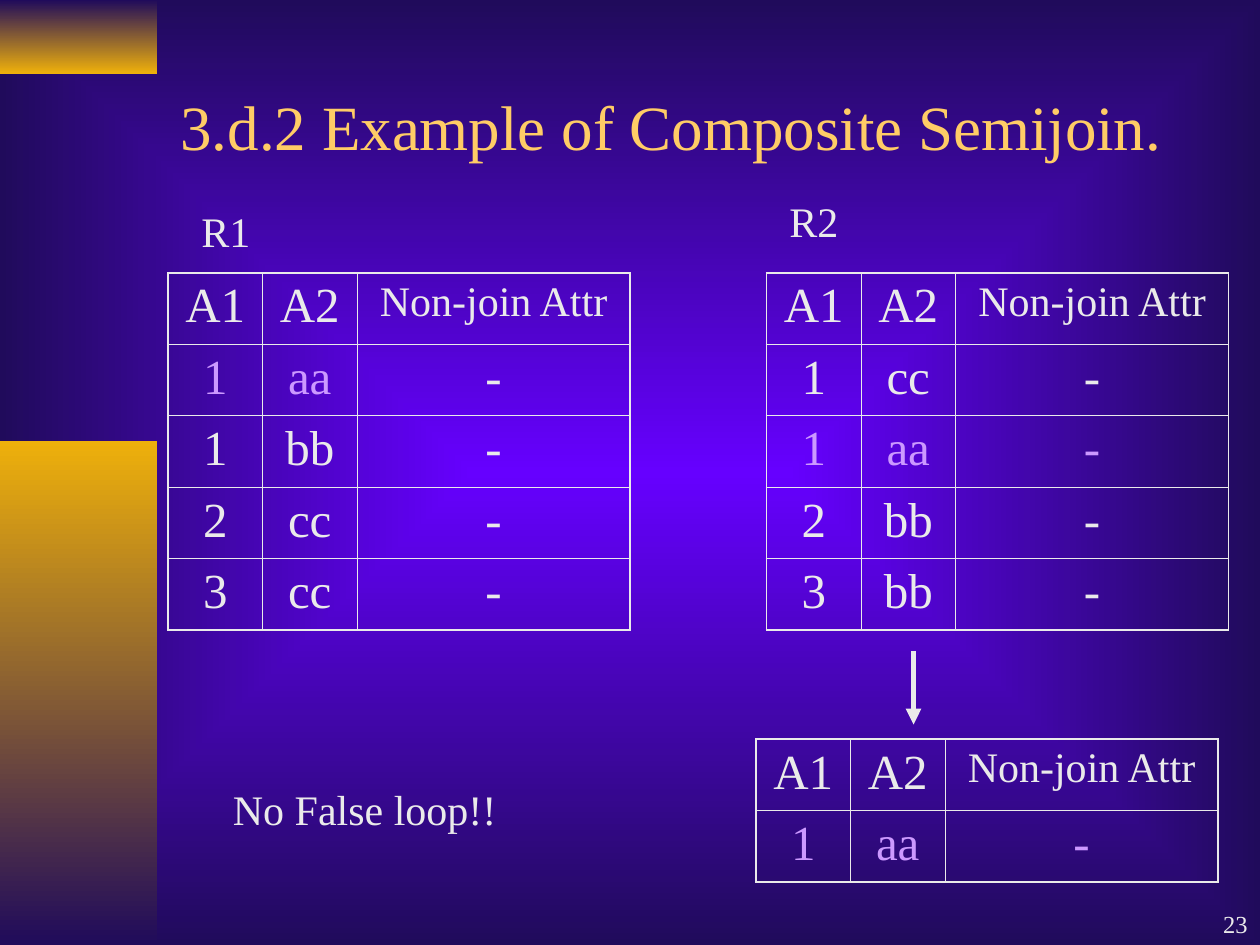
"""Build the composite semijoin slide: two relations, their reduction and a remark."""
from pptx import Presentation
from pptx.dml.color import RGBColor as RGB
from pptx.enum.shapes import MSO_CONNECTOR as Line, MSO_SHAPE as Shape
from pptx.enum.text import MSO_ANCHOR as Anchor, PP_ALIGN as Align
from pptx.oxml import parse_xml
from pptx.oxml.ns import nsdecls
from pptx.util import Inches, Pt

NAVY, BLUE = RGB(0x20, 0x0B, 0x5B), RGB(0x66, 0x00, 0xFF)
GOLD, SAND = RGB(0xEE, 0xB0, 0x0B), RGB(0xFF, 0xCC, 0x66)
PALE, LILAC = RGB(0xEA, 0xEA, 0xEA), RGB(0xCC, 0x99, 0xFF)
FONT = "Times New Roman"
THIN, THICK = Pt(0.45), Pt(1.08)

UNIT = Inches(1) / 12
COLS, ROW = (9, 9, 26), 6.8
HEAD = ("A1", "A2", "Non-join Attr")

BARS = [
    ((0, 0, 15, 7), (NAVY, GOLD)),
    ((0, 42, 15, 48), (GOLD, NAVY)),
]
TABLES = [
    {"at": (16, 26), "lit": {(1, 0), (1, 1)},
     "rows": [HEAD, ("1", "aa", "-"), ("1", "bb", "-"), ("2", "cc", "-"), ("3", "cc", "-")]},
    {"at": (73, 26), "lit": {(2, 0), (2, 1), (2, 2)},
     "rows": [HEAD, ("1", "cc", "-"), ("1", "aa", "-"), ("2", "bb", "-"), ("3", "bb", "-")]},
    {"at": (72, 70.4), "lit": {(1, 0), (1, 1), (1, 2)},
     "rows": [HEAD, ("1", "aa", "-")]},
]
TEXTS = [
    ("3.d.2 Example of Composite Semijoin.", (16, 4, 102, 15.9),
     {"size": 36, "color": SAND}, {"vertical_anchor": Anchor.MIDDLE}, {}),
    ("R1", (18, 19, 7.1, 6), {"size": 24}, {"word_wrap": False}, {}),
    ("R2", (74, 18, 7.1, 6), {"size": 24}, {"word_wrap": False}, {}),
    ("No False loop!!", (21, 74, 39, 6), {"size": 24}, {}, {"space_before": Pt(15)}),
    ("23", (95, 84, 25, 6), {"size": 14}, {"vertical_anchor": Anchor.BOTTOM},
     {"alignment": Align.RIGHT}),
]
ARROW = (87, 62, 87, 69)


def grid(*nums):
    return [round(n * UNIT) for n in nums]


def put(obj, vals):
    for key, val in vals.items():
        setattr(obj, key, val)


def write(frame, text, size, color=PALE, **para):
    par = frame.paragraphs[0]
    put(par, para)
    run = par.add_run()
    run.text = text
    put(run.font, {"name": FONT, "size": Pt(size)})
    run.font.color.rgb = color


def blend(fill, hues):
    fill.gradient()
    for stop, hue in zip(fill.gradient_stops, hues):
        stop.color.rgb = hue


def edge(cell, side, width):
    cell._tc.get_or_add_tcPr().append(parse_xml(
        f'<a:ln{side} {nsdecls("a")} w="{width}"><a:solidFill>'
        f'<a:srgbClr val="{PALE}"/></a:solidFill></a:ln{side}>'))


def add_grid(slide, at, rows, lit):
    size = (sum(COLS), ROW * len(rows))
    table = slide.shapes.add_table(len(rows), len(COLS), *grid(*at, *size)).table
    put(table, {"first_row": False, "horz_banding": False})
    for col, width in zip(table.columns, grid(*COLS)):
        col.width = width
    for r, row in enumerate(rows):
        table.rows[r].height = grid(ROW)[0]
        for c, text in enumerate(row):
            cell = table.cell(r, c)
            outer = {"L": c == 0, "R": c == len(COLS) - 1,
                     "T": r == 0, "B": r == len(rows) - 1}
            for side, rim in outer.items():
                edge(cell, side, THICK if rim else THIN)
            cell.fill.background()
            size = 24 if text == HEAD[2] else 28
            write(cell.text_frame, text, size, LILAC if (r, c) in lit else PALE,
                  alignment=Align.CENTER, space_before=Pt(size // 4))


def main():
    deck = Presentation()
    put(deck, {"slide_width": Inches(10), "slide_height": Inches(7.5)})
    slide = deck.slides.add_slide(deck.slide_layouts[6])
    blend(slide.background.fill, (BLUE, NAVY))
    lin = slide.element.xpath(".//p:bg//a:lin")[0]
    lin.getparent().replace(lin, parse_xml(
        f'<a:path {nsdecls("a")} path="rect">'
        '<a:fillToRect l="50000" t="50000" r="50000" b="50000"/></a:path>'))

    for box, hues in BARS:
        bar = slide.shapes.add_shape(Shape.RECTANGLE, *grid(*box))
        bar.shadow.inherit = False
        bar.line.fill.background()
        blend(bar.fill, hues)
        bar.fill.gradient_angle = 270

    for spec in TABLES:
        add_grid(slide, **spec)

    for text, box, font, body, para in TEXTS:
        frame = slide.shapes.add_textbox(*grid(*box)).text_frame
        put(frame, {"word_wrap": True, **body})
        write(frame, text, **font, **para)

    arrow = slide.shapes.add_connector(Line.STRAIGHT, *grid(*ARROW))
    arrow.line.color.rgb = PALE
    arrow.line.width = Pt(3)
    arrow.line._get_or_add_ln().append(
        parse_xml(f'<a:tailEnd {nsdecls("a")} type="triangle"/>'))
    arrow._element.spPr.append(parse_xml(f'<a:effectLst {nsdecls("a")}/>'))
    deck.save("out.pptx")


if __name__ == "__main__":
    main()
